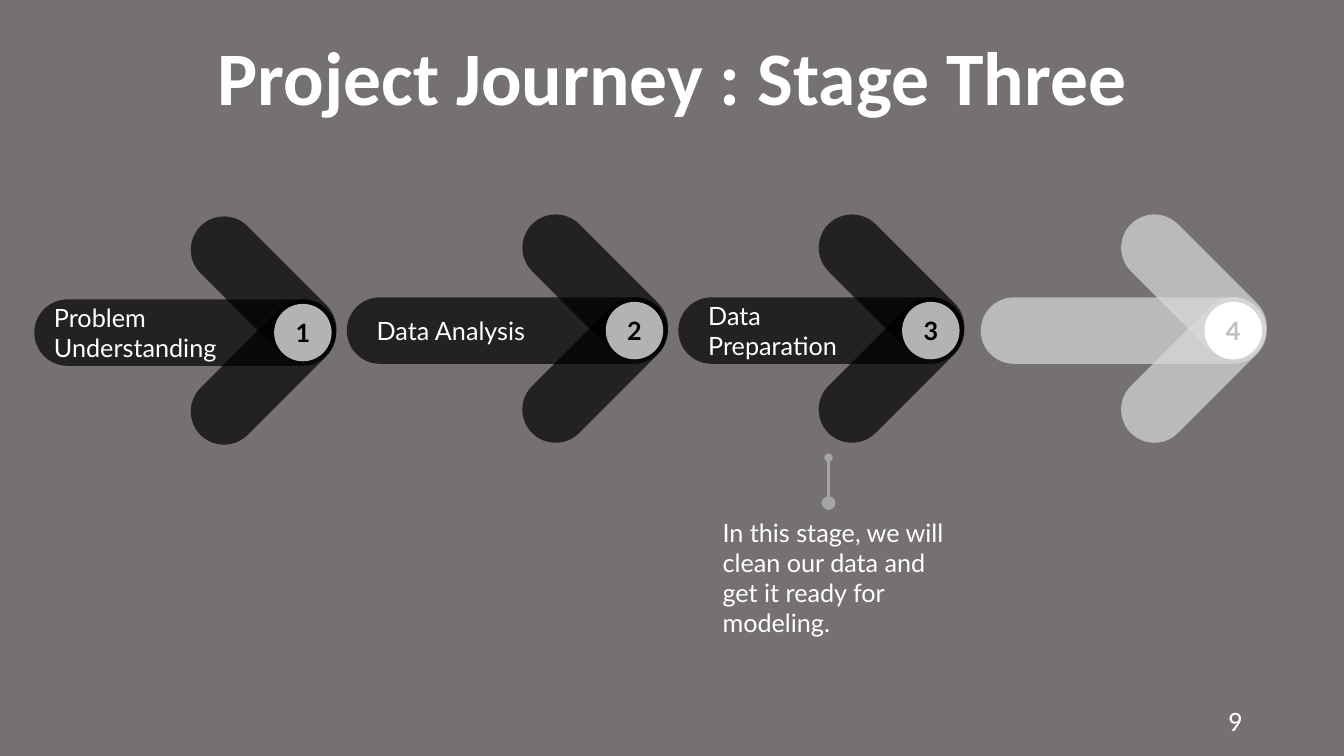
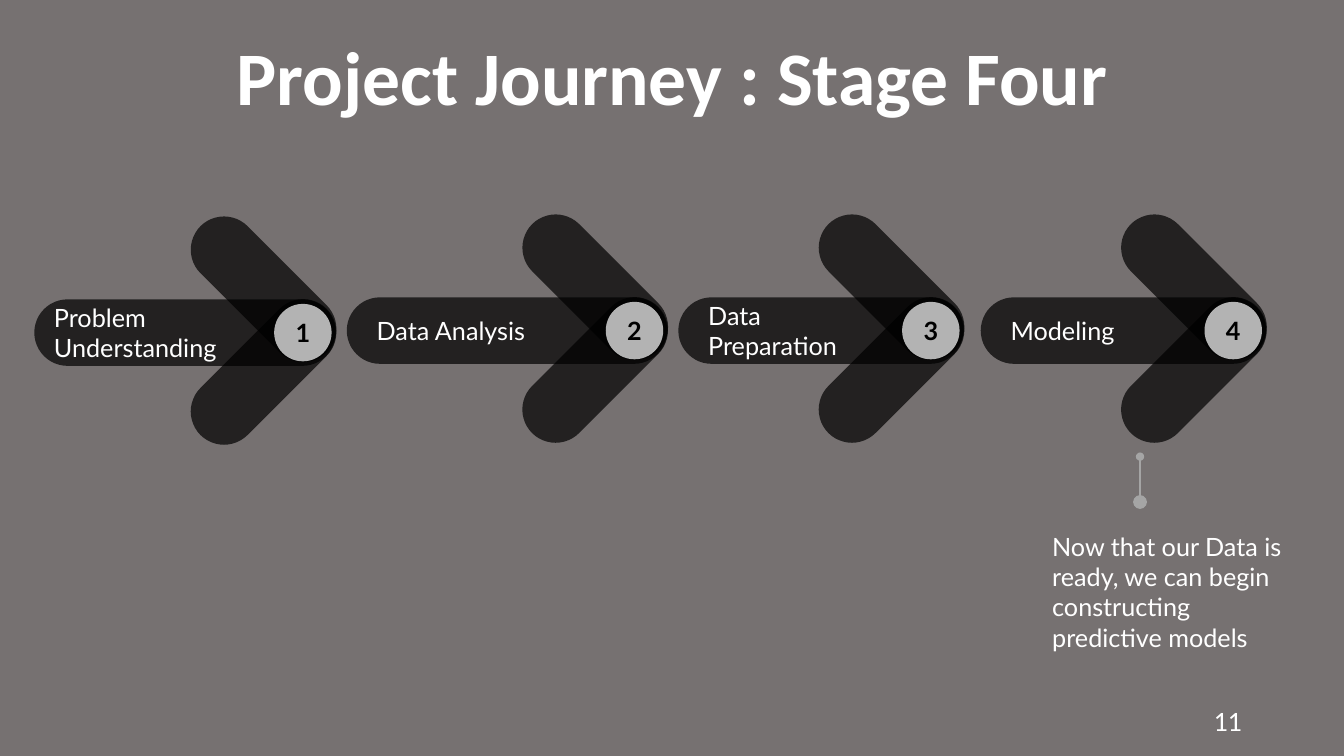
"""Build two project-journey slides showing four staged arrows."""
from dataclasses import dataclass

from lxml import etree
from pptx import Presentation
from pptx.dml.color import RGBColor
from pptx.enum.shapes import MSO_CONNECTOR, MSO_SHAPE
from pptx.enum.text import MSO_ANCHOR, PP_ALIGN
from pptx.oxml.ns import qn
from pptx.util import Emu, Inches, Pt

LEFT, CENTER, RIGHT = PP_ALIGN.LEFT, PP_ALIGN.CENTER, PP_ALIGN.RIGHT
TOP, MIDDLE = MSO_ANCHOR.TOP, MSO_ANCHOR.MIDDLE
PILL, CIRCLE = MSO_SHAPE.ROUNDED_RECTANGLE, MSO_SHAPE.OVAL
STRAIGHT = MSO_CONNECTOR.STRAIGHT
COLUMNS, ROWS = 80, 45
CELL = Inches(1) // 6


@dataclass(frozen=True)
class Theme:
    """Colours, fonts and type sizes."""
    background: str = "767171"
    text: str = "FFFFFF"
    reached: str = "000000"
    pending: str = "D9D9D9"
    pending_number: str = "BFBFBF"
    pointer: str = "A5A5A5"
    heading_font: str = "Calibri"
    body_font: str = "Lato"
    title_size: int = 54
    body_size: int = 18
    page_size: int = 20
    opacity: int = 70
    pointer_width: float = 1.5


@dataclass(frozen=True)
class Stage:
    """One arrow: its lines of text and its place on the grid."""
    lines: tuple
    column: float
    span: float
    row: float = 17.7
    inset: float = 1.2


STAGES = (
    Stage(("Problem", "Understanding"), 2.04, 17.94, 17.82, 0.6),
    Stage(("Data Analysis",), 20.64, 19.08),
    Stage(("Data", "Preparation"), 40.38, 16.98),
    Stage(("Modeling",), 58.38, 16.98),
)
BAR_HEIGHT = 3.96
BADGE = 3.42
ARM_LENGTH = 10.62
ARM_BACK = 9.6
BADGE_BACK = 3.66
ARMS = ((315, 2.34), (45, -2.58))

JOURNEY = (
    dict(title="Project Journey : Stage Three", reached=3, page="9",
         note="In this stage, we will clean our data and get it ready for modeling.",
         note_at=(42.42, 30.48), pointer_at=(49.32, 27.24)),
    dict(title="Project Journey : Stage Four", reached=4, page="11",
         note="Now that our Data is ready, we can begin constructing predictive models",
         note_at=(62.04, 31.32), pointer_at=(67.86, 27.18)),
)


def cells(*lengths):
    """Convert grid cells to slide lengths."""
    return [Emu(round(length * CELL)) for length in lengths]


class Deck:
    """Presentation with a theme and a current slide."""

    def __init__(self, theme):
        """Start an empty presentation."""
        self.theme = theme
        self.presentation = Presentation()
        self.presentation.slide_width, self.presentation.slide_height = cells(COLUMNS, ROWS)
        self.slide = None

    def new_slide(self):
        """Add a blank slide on the theme background."""
        self.slide = self.presentation.slides.add_slide(self.presentation.slide_layouts[6])
        fill = self.slide.background.fill
        fill.solid()
        fill.fore_color.rgb = RGBColor.from_string(self.theme.background)

    def set_lines(self, frame, lines, size, color, font, bold=False, align=LEFT,
                  anchor=MIDDLE, spacing=None):
        """Set styled lines in a text frame."""
        frame.word_wrap = True
        frame.vertical_anchor = anchor
        for index, line in enumerate(lines):
            paragraph = frame.add_paragraph() if index else frame.paragraphs[0]
            paragraph.text = line
            paragraph.alignment = align
            paragraph.line_spacing = spacing
            paragraph.font.size = Pt(size)
            paragraph.font.name = font
            paragraph.font.bold = bold
            paragraph.font.color.rgb = RGBColor.from_string(color)

    def text(self, box, content, size, font, **style):
        """Place one paragraph in a text box."""
        frame = self.slide.shapes.add_textbox(*cells(*box)).text_frame
        self.set_lines(frame, (content,), size, self.theme.text, font, **style)

    def title(self, content):
        """Place the slide title."""
        self.text((4.68, 2.46, 70.68, 4.68), content, self.theme.title_size,
                  self.theme.heading_font, bold=True, align=CENTER, spacing=0.9)

    def page_number(self, number):
        """Place the page number."""
        self.text((56.52, 41.7, 18, 2.4), number, self.theme.page_size,
                  self.theme.heading_font, align=RIGHT)

    def note(self, content, column, row):
        """Place the explanation of the current stage."""
        self.text((column, row, 15.06, 7.86), content, self.theme.body_size,
                  self.theme.body_font, anchor=TOP)

    def pointer(self, column, row):
        """Draw the dotted-end line above a note."""
        line = self.slide.shapes.add_connector(
            STRAIGHT, *cells(column, row, column, row + 2.7))
        line.line.color.rgb = RGBColor.from_string(self.theme.pointer)
        line.line.width = Pt(self.theme.pointer_width)
        properties = line.element.spPr
        outline = properties.find(qn("a:ln"))
        for end, size in (("a:headEnd", "med"), ("a:tailEnd", "lg")):
            etree.SubElement(outline, qn(end), type="oval", w=size, len=size)
        etree.SubElement(properties, qn("a:effectLst"))

    def solid(self, group, preset, box, color, opacity=100, rotation=0):
        """Add a borderless filled shape to a group."""
        shape = group.shapes.add_shape(preset, *cells(*box))
        shape.shadow.inherit = False
        shape.line.fill.background()
        shape.fill.solid()
        shape.fill.fore_color.rgb = RGBColor.from_string(color)
        if opacity < 100:
            tint = shape.element.spPr.find(qn("a:solidFill"))[0]
            etree.SubElement(tint, qn("a:alpha"), val=str(opacity * 1000))
        if preset == PILL:
            shape.adjustments[0] = 0.5
        shape.rotation = rotation
        frame = shape.text_frame
        frame.margin_left = frame.margin_right = frame.margin_top = frame.margin_bottom = 0
        return shape

    def arrow(self, number, stage, reached):
        """Draw one stage as a bar, two arms and a numbered badge."""
        theme = self.theme
        group = self.slide.shapes.add_group_shape()
        color = theme.reached if reached else theme.pending
        tip = stage.column + stage.span
        bar = self.solid(group, PILL, (stage.column, stage.row, stage.span, BAR_HEIGHT),
                         color, theme.opacity)
        if reached:
            bar.text_frame.margin_left, = cells(stage.inset)
            self.set_lines(bar.text_frame, stage.lines, theme.body_size, theme.text,
                           theme.body_font)
        for angle, offset in ARMS:
            self.solid(group, PILL,
                       (tip - ARM_BACK, stage.row + offset, ARM_LENGTH, BAR_HEIGHT),
                       color, theme.opacity, angle)
        badge_row = stage.row + (BAR_HEIGHT - BADGE) / 2
        badge = self.solid(group, CIRCLE, (tip - BADGE_BACK, badge_row, BADGE, BADGE),
                           theme.text, theme.opacity if reached else 100)
        self.set_lines(badge.text_frame, (str(number),), theme.body_size,
                       theme.reached if reached else theme.pending_number,
                       theme.body_font, bold=True, align=CENTER)


def main():
    """Build and save the slides."""
    deck = Deck(Theme())
    for step in JOURNEY:
        deck.new_slide()
        deck.title(step["title"])
        for number, stage in enumerate(STAGES, 1):
            deck.arrow(number, stage, number <= step["reached"])
        deck.note(step["note"], *step["note_at"])
        deck.pointer(*step["pointer_at"])
        deck.page_number(step["page"])
    deck.presentation.save("out.pptx")


if __name__ == "__main__":
    main()
